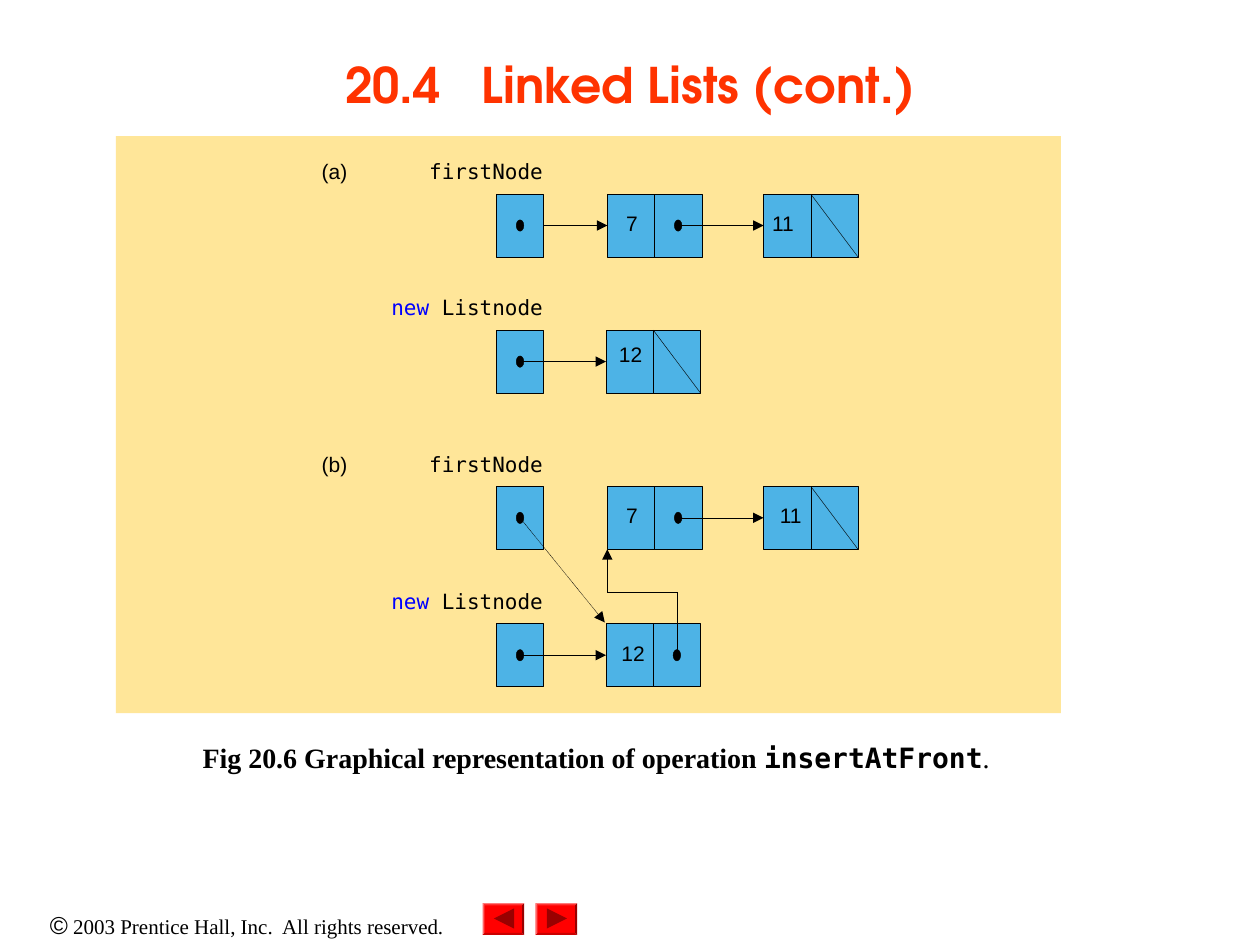
from lxml import etree
from pptx import Presentation
from pptx import util as u
from pptx.dml.color import RGBColor
from pptx.enum import dml, shapes, text
from pptx.oxml import ns

COLORS = {"title": "FF3300", "panel": "FFE699", "cell": "4DB3E6", "ink": "000000",
          "keyword": "0000FF", "button": "FF0000", "glyph": "990000"}
SANS, SERIF, MONO = "Arial", "Times New Roman", "DejaVu Sans Mono"
CELL_W, CELL_H = 0.375, 0.5
ALIGN = text.PP_ALIGN
KIND = shapes.MSO_SHAPE

# Content: a run is (text, font, size, colour, bold)
TITLE = [("20.4   Linked Lists (cont.)", "TeX Gyre Adventor", 28, "title", True)]
CAPTION = [("Fig 20.6 Graphical representation of operation ", SERIF, 16, "ink", True),
           ("insertAtFront", MONO, 16, "ink", True), (".", SERIF, 16, "ink", False)]
FOOTER = [("©", SANS, 14, "ink", False),
          (" 2003 Prentice Hall, Inc.  All rights reserved.", SERIF, 12, "ink", False)]
FIRST = [("firstNode", MONO, 12, "ink", False)]
NEW = [("new", MONO, 12, "keyword", False), (" Listnode", MONO, 12, "ink", False)]

# Each row: top of its cells, label, nodes of (left, value, value left, value drop, link)
ROWS = [
    {"top": 1.54, "label": FIRST, "part": "(a)", "target": True, "nodes": [
        (4.82, "7", 4.88, 0.17, "next"), (6.06, "11", 6.08, 0.17, "null")]},
    {"top": 2.62, "label": NEW, "part": None, "target": True, "nodes": [
        (4.81, "12", 4.87, 0.13, "null")]},
    {"top": 3.86, "label": FIRST, "part": "(b)", "target": False, "nodes": [
        (4.82, "7", 4.88, 0.17, "next"), (6.06, "11", 6.14, 0.17, "null")]},
    {"top": 4.95, "label": NEW, "part": None, "target": True, "nodes": [
        (4.81, "12", 4.89, 0.17, "dot")]},
]
POINTER_LEFT = 3.94
# Navigation buttons: left edge and triangle points relative to the button
BUTTONS = [(3.83, [(0.25, 0.04), (0.09, 0.12), (0.25, 0.2)]),
           (4.25, [(0.09, 0.04), (0.25, 0.12), (0.09, 0.2)])]

deck = Presentation()
deck.slide_width, deck.slide_height = u.Inches(10), u.Inches(7.5)
page = deck.slides.add_slide(deck.slide_layouts[5])


def rgb(name):
    return RGBColor.from_string(COLORS[name])


def write(frame, runs, align, margins=(0.1, 0.05), wrap=True, spacing=None,
          anchor=text.MSO_ANCHOR.TOP):
    side, edge = map(u.Inches, margins)
    for key, value in {"margin_left": side, "margin_right": side, "margin_top": edge,
                       "margin_bottom": edge, "word_wrap": wrap,
                       "vertical_anchor": anchor}.items():
        setattr(frame, key, value)
    para = frame.paragraphs[0]
    para.alignment, para.line_spacing = align, spacing
    for words, font, size, color, bold in runs:
        span = para.add_run()
        span.text = words
        for key, value in {"name": font, "size": u.Pt(size), "bold": bold}.items():
            setattr(span.font, key, value)
        span.font.color.rgb = rgb(color)


def add_text(left, top, width, height, runs, align, **options):
    box = page.shapes.add_textbox(*map(u.Inches, (left, top, width, height)))
    write(box.text_frame, runs, align, **options)


def add_label(left, top, width, runs, align=ALIGN.CENTER):
    add_text(left, top, width, 0.21, runs, align, margins=(0, 0), spacing=0.8)


def paint(shape, fill=None, line=None):
    shape.shadow.inherit = False
    if fill:
        shape.fill.solid()
        shape.fill.fore_color.rgb = rgb(fill)
    else:
        shape.fill.background()
    if line:
        shape.line.color.rgb = rgb(line)
        shape.line.width = u.Pt(0.25)
    else:
        shape.line.fill.background()
    return shape


def add_shape(kind, left, top, width, height, fill, line=None):
    return paint(page.shapes.add_shape(
        kind, *map(u.Inches, (left, top, width, height))), fill, line)


def add_cell(left, top):
    return add_shape(KIND.RECTANGLE, left, top, CELL_W, CELL_H, "cell", "ink")


def add_outline(points, closed):
    builder = page.shapes.build_freeform(*map(u.Inches, points[0]), scale=1.0)
    builder.add_line_segments([tuple(map(u.Inches, p)) for p in points[1:]], close=closed)
    return builder.convert_to_shape()


def add_arrowhead(shape):
    etree.SubElement(shape.line._get_or_add_ln(), ns.qn("a:tailEnd"), type="triangle")


def add_line(start, end):
    line = page.shapes.add_connector(
        shapes.MSO_CONNECTOR.STRAIGHT, *map(u.Inches, (*start, *end)))
    line.line.color.rgb = rgb("ink")
    line.line.width = u.Pt(0.25)
    etree.SubElement(line._element.spPr, ns.qn("a:effectLst"))
    return line


def add_dot(left, top):
    """Draw the dot of a pointer cell and return its centre."""
    x, y = left + CELL_W / 2, top + CELL_H / 2
    add_shape(KIND.OVAL, x - 0.03, y - 0.045, 0.06, 0.09, "ink", "ink")
    return x, y


def add_link(start, cell, source=None):
    arrow = add_line(start, start)
    if source:
        arrow.begin_connect(source, 3)
    arrow.end_connect(cell, 1)
    add_arrowhead(arrow)


# Title
title = page.shapes.title
title.left, title.top, title.width, title.height = map(u.Inches, (0.75, 0.08, 8.5, 1.17))
write(title.text_frame, TITLE, ALIGN.CENTER, anchor=text.MSO_ANCHOR.MIDDLE)

# Panel, caption and footer
add_shape(KIND.RECTANGLE, 0.92, 1.08, 7.5, 4.58, "panel")
add_text(1.51, 5.83, 6.45, 0.37, CAPTION, ALIGN.LEFT, wrap=False)
add_text(0, 7.17, 3.92, 0.34, FOOTER, ALIGN.CENTER)

# Linked-list rows
dots = []
for row in ROWS:
    top = row["top"]
    if row["part"]:
        add_label(2.52, top - 0.24, 0.27, [(row["part"], SANS, 12, "ink", False)])
    add_label(2.81, top - 0.24, 1.5, row["label"], ALIGN.RIGHT)
    pointer = add_cell(POINTER_LEFT, top)
    value_cells = []
    for left, *_ in row["nodes"]:
        value_cells.append(add_cell(left, top))
        add_cell(left + CELL_W, top)
    dot = add_dot(POINTER_LEFT, top)
    if row["target"]:
        add_link(dot, value_cells[0], pointer if row is ROWS[0] else None)
    for index, (left, value, value_left, drop, link) in enumerate(row["nodes"]):
        add_label(value_left, top + drop, 0.27, [(value, SANS, 12, "ink", False)])
        next_left = left + CELL_W
        if link == "null":
            add_line((next_left, top), (next_left + CELL_W, top + CELL_H))
        else:
            dot_next = add_dot(next_left, top)
            if link == "next":
                add_link(dot_next, value_cells[index + 1])
    dots.append(dot)

# Relinking in part (b): firstNode to the new node, new node to the old first
inserted = add_line(dots[2], (4.8, 4.94))
inserted.line.dash_style = dml.MSO_LINE.ROUND_DOT
add_arrowhead(inserted)
relink = paint(add_outline([dot_next, (dot_next[0], 4.7), (4.82, 4.7), (4.82, 4.36)],
                           False), line="ink")
relink.line.dash_style = dml.MSO_LINE.ROUND_DOT
add_arrowhead(relink)

# Navigation buttons
for left, triangle in BUTTONS:
    button = add_shape(KIND.BEVEL, left, 7.17, 0.33, 0.25, "button")
    button.adjustments[0] = 0.06
    paint(add_outline([(left + x, 7.17 + y) for x, y in triangle], True), "glyph")

deck.save("out.pptx")
